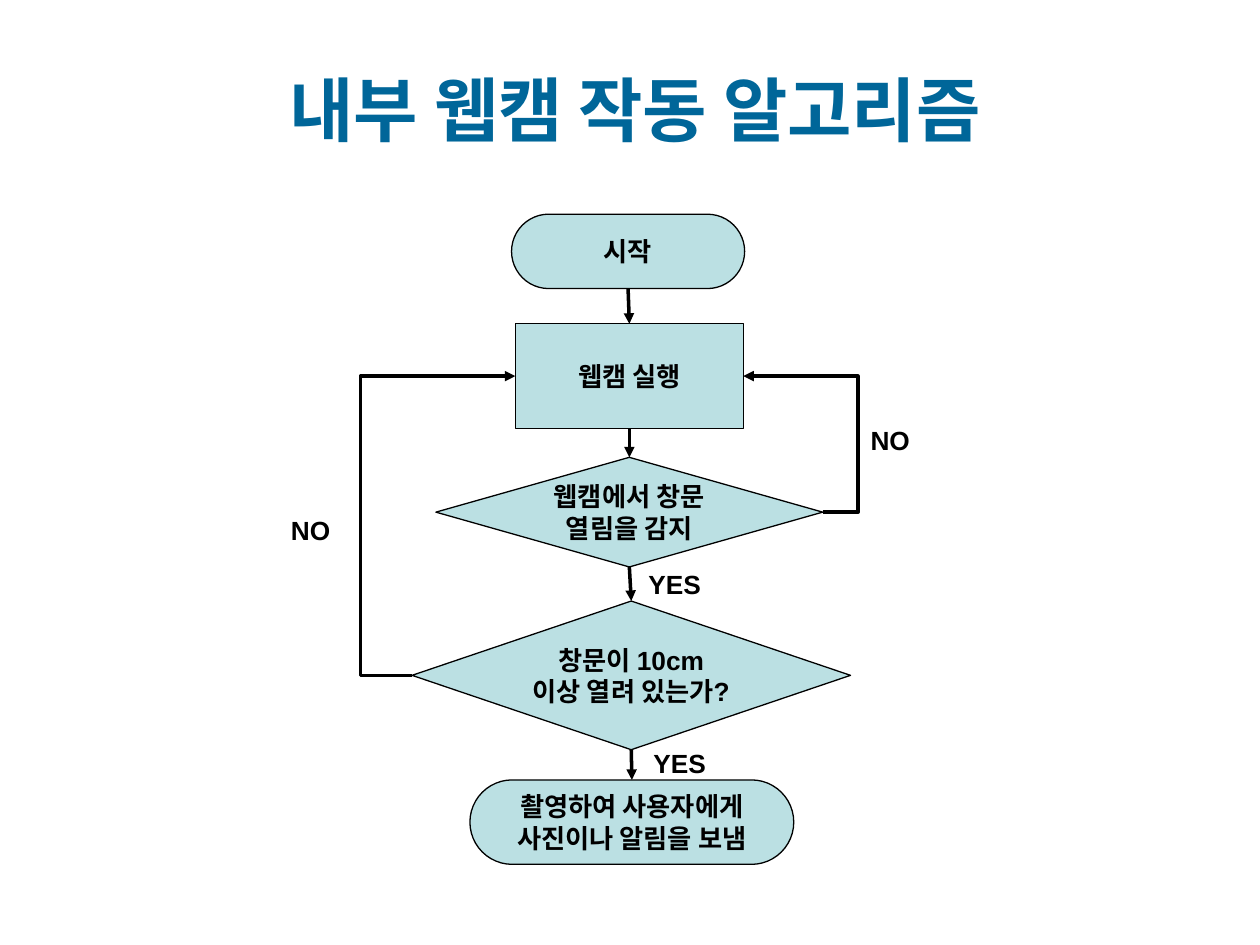
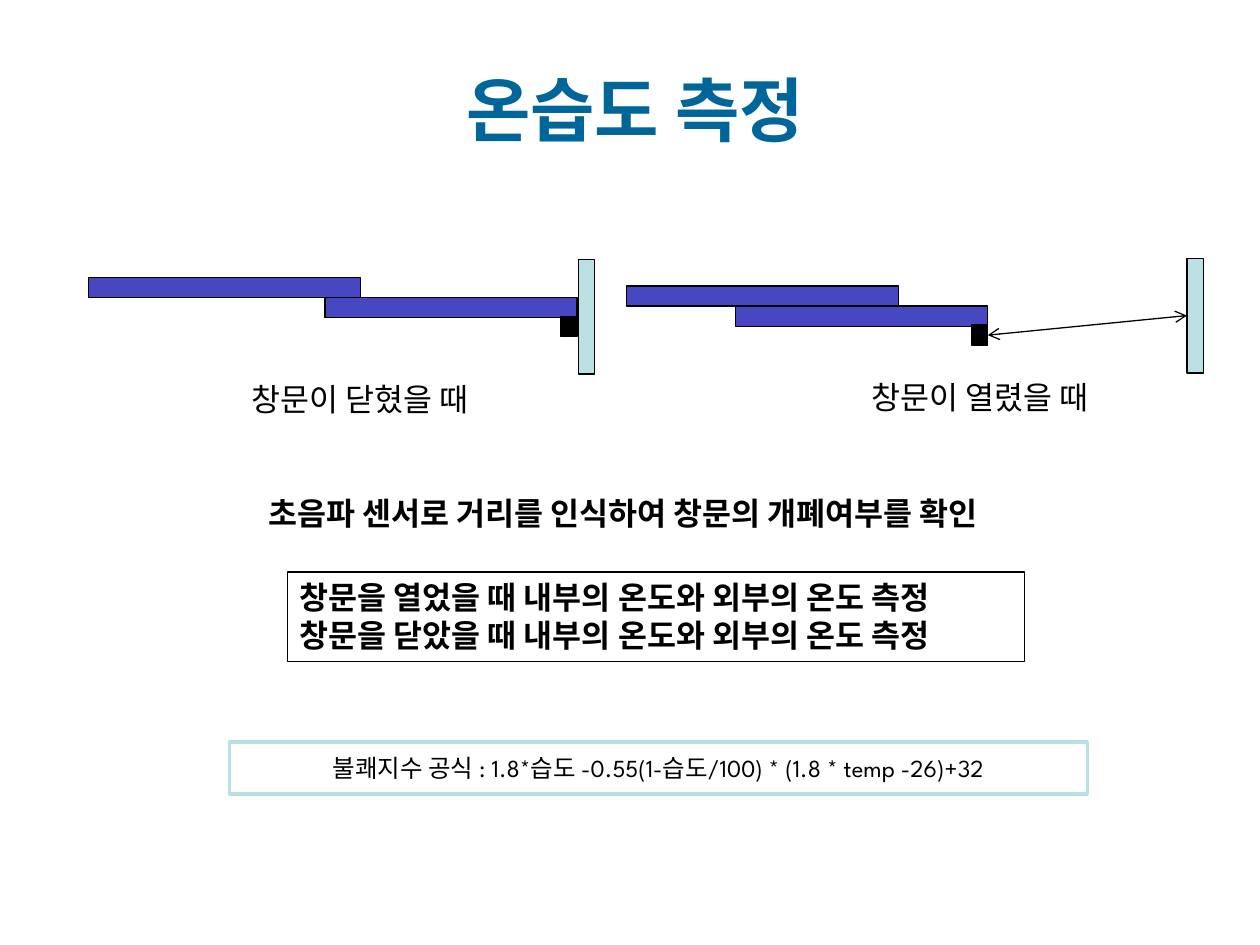
"""Build two slides on a window monitor: the webcam flowchart and the climate measurement."""
from lxml import etree
from pptx import Presentation
from pptx import util as u
from pptx.dml.color import RGBColor
from pptx.enum import shapes, text
from pptx.oxml.ns import qn

TITLE_BLUE = RGBColor(0x00, 0x66, 0x99)
PALE_TEAL = RGBColor(0xBB, 0xE0, 0xE3)
SASH_BLUE = RGBColor(0x47, 0x47, 0xC2)
BLACK = RGBColor(0, 0, 0)
WHITE = RGBColor(0xFF, 0xFF, 0xFF)

HEADING_FONT = "League Spartan"
BODY_FONT = "Arial"
TITLE = {"name": HEADING_FONT, "size": u.Pt(40), "bold": True}
FLOW = {"name": BODY_FONT, "size": u.Pt(15), "bold": True}
CAPTION = {"name": BODY_FONT, "size": u.Pt(18), "bold": False}
STATEMENT = {**CAPTION, "bold": True}
FORMULA = {"name": HEADING_FONT, "size": u.Pt(14), "bold": False}

RECT = shapes.MSO_SHAPE.RECTANGLE
ROUND = shapes.MSO_SHAPE.ROUNDED_RECTANGLE
DIAMOND = shapes.MSO_SHAPE.DIAMOND
TOP, LEFT, BOTTOM, RIGHT = range(4)
CENTER, START = text.PP_ALIGN.CENTER, text.PP_ALIGN.LEFT
MIDDLE, UPPER = text.MSO_ANCHOR.MIDDLE, text.MSO_ANCHOR.TOP


def inches(values):
    return [u.Inches(value) for value in values]


def write(holder, wording, style, color=BLACK, align=CENTER, anchor=UPPER, wrap=True):
    frame = holder.text_frame
    frame.text = wording
    for name, value in {"word_wrap": wrap, "vertical_anchor": anchor}.items():
        setattr(frame, name, value)
    for paragraph in frame.paragraphs:
        paragraph.alignment = align
        for name, value in style.items():
            setattr(paragraph.font, name, value)
        paragraph.font.color.rgb = color


def add_label(slide, place, wording, style, **layout):
    write(slide.shapes.add_textbox(*inches(place)), wording, style, **layout)


def add_block(slide, place, fill, kind=RECT, outline=BLACK, weight=0.75):
    block = slide.shapes.add_shape(kind, *inches(place))
    block.shadow.inherit = False
    block.fill.solid()
    block.fill.fore_color.rgb = fill
    block.line.color.rgb = outline
    block.line.width = u.Pt(weight)
    if kind == ROUND:
        block.adjustments[0] = 0.5
    return block


def add_step(slide, kind, place, wording):
    step = add_block(slide, place, PALE_TEAL, kind)
    write(step, wording, FLOW, anchor=MIDDLE, wrap=False)
    return step


def join(slide, origin, origin_side, target, target_side, weight=2, lane=None, **ends):
    """Glue an arrow between two shapes, turning at the x position lane if given."""
    kind = shapes.MSO_CONNECTOR.STRAIGHT if lane is None else shapes.MSO_CONNECTOR.ELBOW
    arrow = slide.shapes.add_connector(kind, 0, 0, 0, 0)
    arrow.begin_connect(origin, origin_side)
    arrow.end_connect(target, target_side)
    arrow.line.color.rgb = BLACK
    arrow.line.width = u.Pt(weight)
    properties = arrow._element.spPr
    if lane is not None:
        turn = (u.Inches(lane) - arrow.begin_x) / (arrow.end_x - arrow.begin_x)
        guides = properties.find(qn("a:prstGeom")).find(qn("a:avLst"))
        etree.SubElement(guides, qn("a:gd"), name="adj1", fmla=f"val {round(turn * 100000)}")
    for end, head in ends.items():
        etree.SubElement(properties.find(qn("a:ln")), qn(f"a:{end}"), type=head)
    etree.SubElement(properties, qn("a:effectLst"))


def add_titled_slide(deck, title):
    slide = deck.slides.add_slide(deck.slide_layouts[6])
    add_label(slide, (0.58, 0.3, 8.92, 1.12), title, TITLE, color=TITLE_BLUE, anchor=MIDDLE)
    return slide


def add_window(slide, outer_sash, inner_sash, post):
    """Draw two sliding sashes, the post and the sensor under the inner sash's end."""
    thickness, sensor_width = 0.16, 0.13
    outer_left, top = outer_sash
    inner_left, inner_width = inner_sash, 2
    inner_top = top + thickness
    add_block(slide, (outer_left, top, 2.16, thickness), SASH_BLUE)
    add_block(slide, (inner_left, inner_top, inner_width, thickness), SASH_BLUE)
    frame_post = add_block(slide, (*post, 0.13, 0.91), PALE_TEAL)
    sensor_left = inner_left + inner_width - sensor_width
    sensor = add_block(slide, (sensor_left, inner_top + thickness - 0.01,
                               sensor_width, thickness), BLACK)
    return sensor, frame_post


def build_webcam_flow(deck):
    slide = add_titled_slide(deck, "내부 웹캠 작동 알고리즘")
    start = add_step(slide, ROUND, (4.06, 1.7, 1.85, 0.59), "시작")
    run = add_step(slide, RECT, (4.09, 2.57, 1.81, 0.83), "웹캠 실행")
    detect = add_step(slide, DIAMOND, (3.46, 3.63, 3.07, 0.87), "웹캠에서 창문\v열림을 감지")
    notify = add_step(slide, ROUND, (3.73, 6.19, 2.57, 0.67),
                      "촬영하여 사용자에게\v사진이나 알림을 보냄")
    measure = add_step(slide, DIAMOND, (3.27, 4.77, 3.48, 1.18),
                       "창문이 10cm\v이상 열려 있는가?")
    steps = [start, run, detect, measure, notify]
    for upper, lower in zip(steps, steps[1:]):
        join(slide, upper, BOTTOM, lower, TOP, tailEnd="triangle")
    join(slide, detect, RIGHT, run, RIGHT, lane=6.81, tailEnd="triangle")
    join(slide, measure, LEFT, run, LEFT, lane=2.86, tailEnd="triangle")
    for answer, left, top, width in [("NO", 2.17, 4.03, 0.59), ("NO", 6.77, 3.32, 0.59),
                                     ("YES", 4.92, 4.46, 0.87), ("YES", 4.96, 5.88, 0.87)]:
        add_label(slide, (left, top, width, 0.43), answer, FLOW)


def build_climate_measurement(deck):
    slide = add_titled_slide(deck, "온습도 측정")
    add_window(slide, (0.7, 2.2), 2.58, (4.59, 2.06))
    sensor, post = add_window(slide, (4.97, 2.27), 5.84, (9.42, 2.05))
    join(slide, sensor, RIGHT, post, LEFT, weight=0.75, headEnd="arrow", tailEnd="arrow")
    add_label(slide, (1.42, 2.97, 2.88, 0.4), "창문이 닫혔을 때", CAPTION)
    add_label(slide, (6.34, 2.95, 2.88, 0.4), "창문이 열렸을 때", CAPTION)
    add_label(slide, (2.03, 3.87, 6.46, 0.4),
              "초음파 센서로 거리를 인식하여 창문의 개폐여부를 확인", STATEMENT, align=START)
    formula = add_block(slide, (1.82, 5.89, 6.81, 0.41), WHITE, outline=PALE_TEAL, weight=2)
    write(formula, "불쾌지수 공식 : 1.8*습도 -0.55(1-습도/100) * (1.8 * temp -26)+32",
          FORMULA, anchor=MIDDLE)
    readings = add_block(slide, (2.28, 4.54, 5.85, 0.71), WHITE)
    write(readings, "\n".join(f"창문을 {state} 때 내부의 온도와 외부의 온도 측정"
                              for state in ("열었을", "닫았을")), STATEMENT, align=START)


def main():
    deck = Presentation()
    deck.slide_width, deck.slide_height = inches((10, 7.5))
    build_webcam_flow(deck)
    build_climate_measurement(deck)
    deck.save("out.pptx")


if __name__ == "__main__":
    main()
